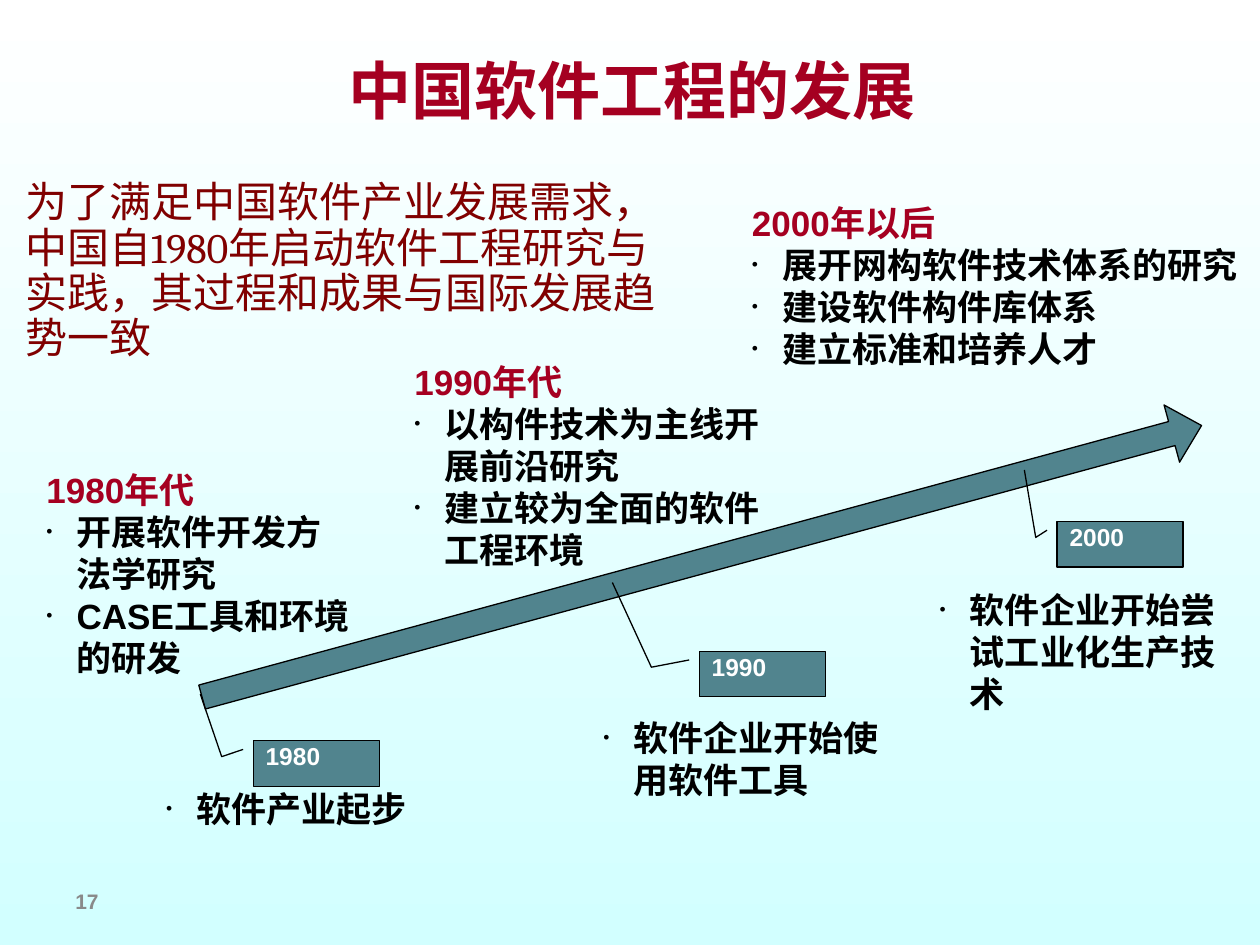
from lxml import etree
from pptx import Presentation
from pptx.dml.color import RGBColor
from pptx.enum.shapes import MSO_SHAPE
from pptx.enum.text import MSO_ANCHOR, PP_ALIGN
from pptx.oxml.ns import qn
from pptx.util import Inches, Pt

ARROW, CALLOUT = MSO_SHAPE.RIGHT_ARROW, MSO_SHAPE.LINE_CALLOUT_2
TOP, MIDDLE, LEFT = MSO_ANCHOR.TOP, MSO_ANCHOR.MIDDLE, PP_ALIGN.LEFT

# Content: boxes are left, top, width, height in inches
TITLE = ("中国软件工程的发展", (2.67, 0.25, 6.09, 0.92))
INTRO = ("为了满足中国软件产业发展需求，中国自1980年启动软件工程研究与实践，"
         "其过程和成果与国际发展趋势一致", (-0.28, 1.39, 5.63, 1.81))
PAGE_NUMBER = ("17", (0.5, 6.95, 2.33, 0.4))
TIMELINE = (1.46, 4.22, 8.22, 0.47)

# Heading (or None), bullets, box
NOTES = [
    ("1980年代", ["开展软件开发方法学研究", "CASE工具和环境的研发"], (0.27, 3.67, 2.64, 1.77)),
    ("1990年代", ["以构件技术为主线开展前沿研究", "建立较为全面的软件工程环境"],
     (3.19, 2.81, 3.07, 1.77)),
    ("2000年以后", ["展开网构软件技术体系的研究", "建设软件构件库体系", "建立标准和培养人才"],
     (5.87, 1.55, 4.13, 1.44)),
    (None, ["软件产业起步"], (1.22, 6.2, 2.33, 0.44)),
    (None, ["软件企业开始使用软件工具"], (4.69, 5.64, 2.6, 0.77)),
    (None, ["软件企业开始尝试工业化生产技术"], (7.36, 4.62, 2.44, 0.77)),
]

# Year, left, top, x of the leader's bend, (y, x) of its tip
MILESTONES = [
    ("1980", 2.01, 5.88, -0.25, (-1.03, -0.42)),
    ("1990", 5.55, 5.17, -0.38, (-1.52, -0.69)),
    ("2000", 8.39, 4.14, -0.17, (-1.14, -0.26)),
]
MILESTONE_SIZE = (1, 0.36)
BULLET_INDENT = 0.24

# Text styles: font, size, colour, bold
THEME = {
    "title": ("Times New Roman", 36, "A50021", True),
    "intro": ("Cambria", 24, "800000", False),
    "heading": ("Arial", 20, "A50021", True),
    "bullet": ("Arial", 20, "000000", True),
    "year": ("Arial", 14, "FFFFFF", True),
    "number": ("Arial", 12, "898989", True),
    "sky": ("FFFFFF", "D2FFFF"),
    "fill": "51848E",
    "line": "000000",
}


def color(name):
    return RGBColor.from_string(name)


def style(para, name):
    font = para.font
    font.name, size, tint, font.bold = THEME[name]
    font.size = Pt(size)
    font.color.rgb = color(tint)


def add_bullet(para):
    props = para._p.get_or_add_pPr()
    props.set("marL", str(Inches(BULLET_INDENT)))
    props.set("indent", str(-Inches(BULLET_INDENT)))
    tint = etree.SubElement(props, qn("a:buClr"))
    etree.SubElement(tint, qn("a:srgbClr"), val=THEME["bullet"][2])
    etree.SubElement(props, qn("a:buSzPct"), val="50000")
    etree.SubElement(props, qn("a:buFont"), typeface="Arial")
    etree.SubElement(props, qn("a:buChar"), char="•")


def add_text(page, box, lines, anchor=TOP):
    """Add a text box; lines holds (text, style name) pairs."""
    frame = page.shapes.add_textbox(*map(Inches, box)).text_frame
    frame.word_wrap = True
    frame.vertical_anchor = anchor
    for index, (text, name) in enumerate(lines):
        para = frame.add_paragraph() if index else frame.paragraphs[0]
        para.text = text
        if name == "bullet":
            add_bullet(para)
        style(para, name)
    return frame


def add_solid(page, kind, box, adjustments):
    shape = page.shapes.add_shape(kind, *map(Inches, box))
    shape.shadow.inherit = False
    shape.fill.solid()
    shape.fill.fore_color.rgb = color(THEME["fill"])
    shape.line.color.rgb = color(THEME["line"])
    shape.line.width = Pt(0.75)
    for index, value in enumerate(adjustments):
        shape.adjustments[index] = value
    return shape


def add_milestone(page, year, left, top, bend, tip):
    leader = (0.19, -0.08, 0.35, bend, *tip)
    shape = add_solid(page, CALLOUT, (left, top, *MILESTONE_SIZE), leader)
    frame = shape.text_frame
    frame.vertical_anchor = TOP
    para = frame.paragraphs[0]
    para.text = year
    para.alignment = LEFT
    para.line_spacing = 0.8
    style(para, "year")


def main():
    deck = Presentation()
    deck.slide_width, deck.slide_height = Inches(10), Inches(7.5)
    page = deck.slides.add_slide(deck.slide_layouts[6])

    # Background fades from top to bottom
    sky = page.background.fill
    sky.gradient()
    sky.gradient_angle = 270
    for stop, tint, position in zip(sky.gradient_stops, THEME["sky"], (0, 1)):
        stop.color.rgb = color(tint)
        stop.position = position

    # Page number, title and introduction
    for (text, box), name in ((PAGE_NUMBER, "number"), (TITLE, "title")):
        add_text(page, box, [(text, name)], MIDDLE)
    text, box = INTRO
    intro = add_text(page, box, [(text, "intro")])
    intro.margin_left = Inches(0.48)
    intro.paragraphs[0].line_spacing = 0.9

    # Timeline arrow with its milestones
    add_solid(page, ARROW, TIMELINE, (0.42, 0.52)).rotation = 344.8
    for milestone in MILESTONES:
        add_milestone(page, *milestone)

    # Notes above and below the arrow
    for heading, bullets, box in NOTES:
        lines = [(heading, "heading")] if heading else []
        add_text(page, box, lines + [(bullet, "bullet") for bullet in bullets])

    deck.save("out.pptx")


if __name__ == "__main__":
    main()
